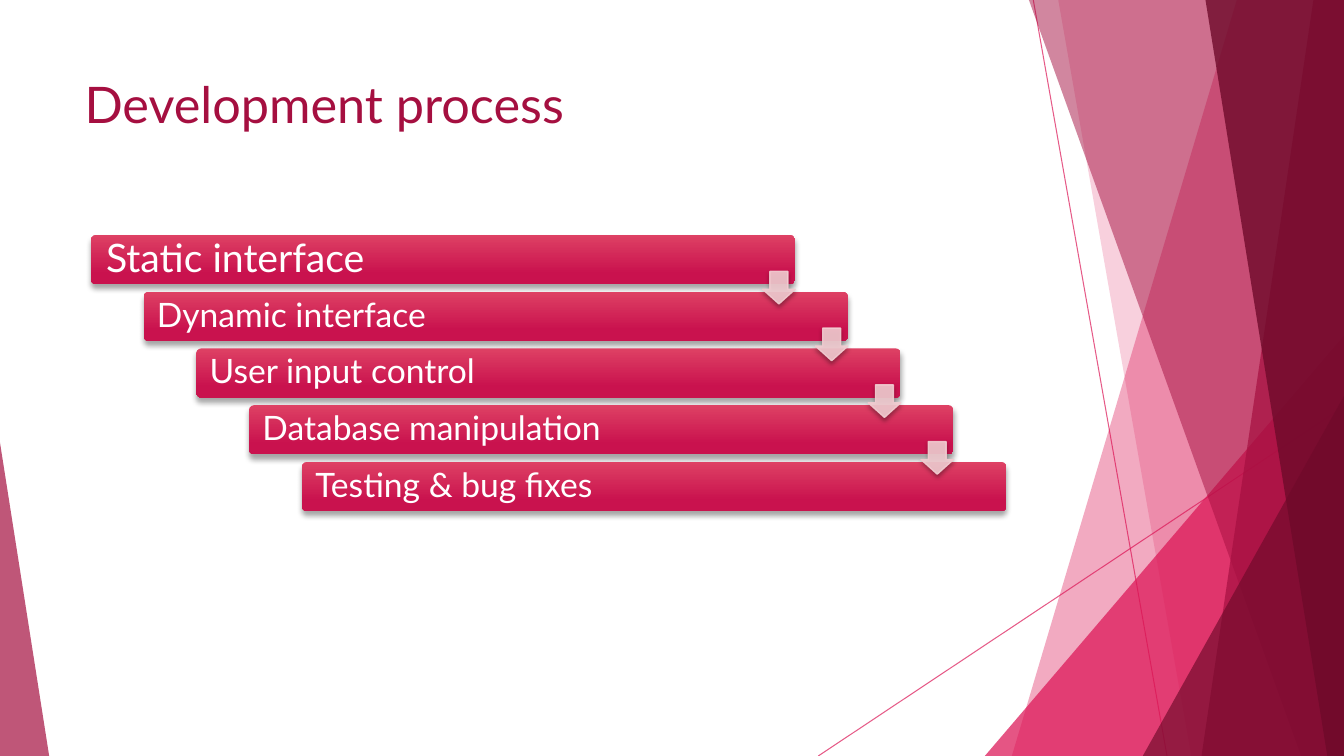
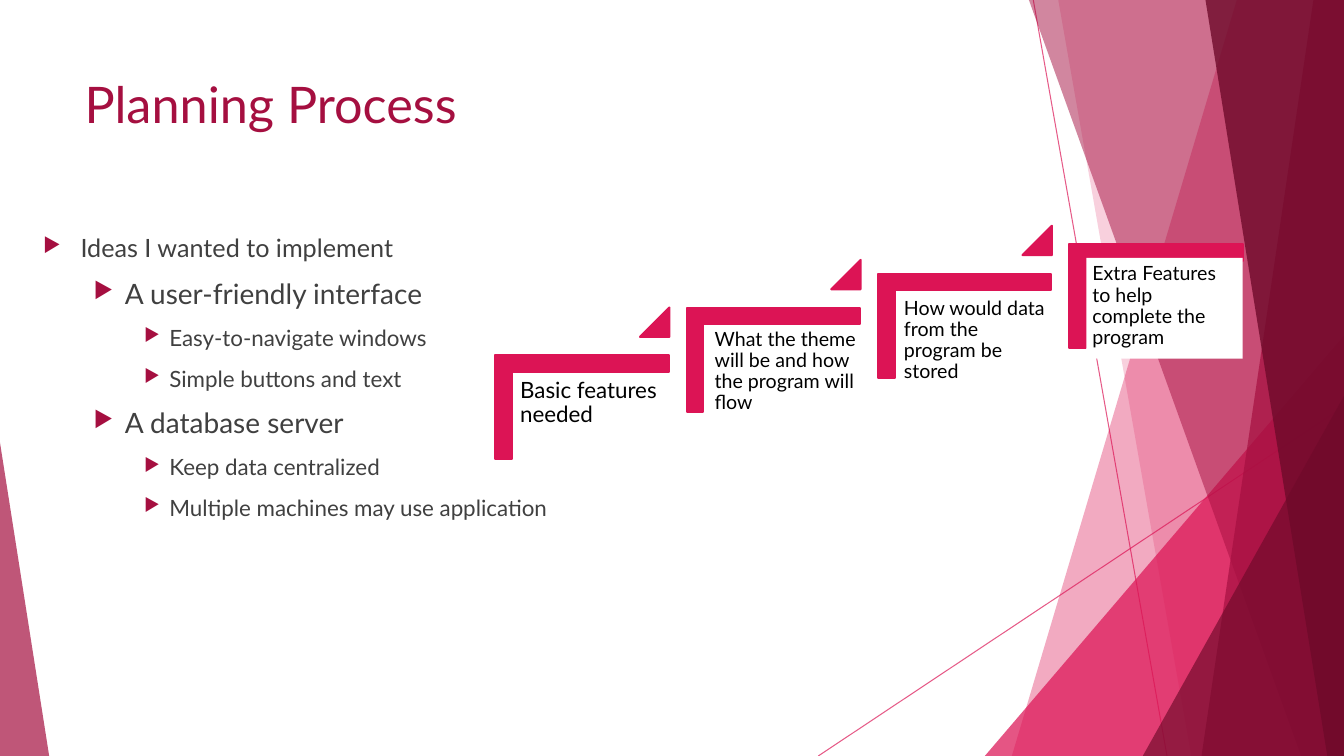
"""Build two slides on how an application was planned and developed."""
from dataclasses import dataclass

from lxml import etree
from pptx import Presentation
from pptx.dml.color import RGBColor
from pptx.enum.shapes import MSO_CONNECTOR, MSO_SHAPE
from pptx.enum.text import MSO_ANCHOR, MSO_AUTO_SIZE, PP_ALIGN
from pptx.oxml.ns import qn
from pptx.util import Cm, Pt

STRAIGHT = MSO_CONNECTOR.STRAIGHT
ROUNDED = MSO_SHAPE.ROUNDED_RECTANGLE
DOWN_ARROW = MSO_SHAPE.DOWN_ARROW
TRIANGLE = MSO_SHAPE.ISOSCELES_TRIANGLE
CORNER = MSO_SHAPE.CORNER
TOP, MIDDLE = MSO_ANCHOR.TOP, MSO_ANCHOR.MIDDLE
LEFT = PP_ALIGN.LEFT
NO_AUTOFIT = MSO_AUTO_SIZE.NONE
TITLE_ONLY = 5


@dataclass(frozen=True)
class Theme:
    """Colours, font and type sizes of the deck."""

    pink: str = "DC1455"
    crimson: str = "A50F40"
    wine: str = "6E0A2A"
    blush: str = "F2CCD1"
    bar_light: str = "DE4164"
    bar_dark: str = "C9124E"
    white: str = "FFFFFF"
    black: str = "000000"
    grey: str = "404040"
    font: str = "Lato"
    title: int = 36
    lead_bar: int = 28
    bar: int = 24
    lead_step: int = 16
    step: int = 14
    bullets: tuple = (18, 20, 16)


@dataclass(frozen=True)
class Step:
    """One tread of the staircase, with its text area in centimetres."""

    text: str
    size: int
    top: float
    area: tuple
    inset: float = 0.15
    fill: str = ""


THEME = Theme()
WIDTH, HEIGHT = 33.87, 19.05

BACK_LINES = [((26.04, 0), (29.41, HEIGHT)), ((WIDTH, 10.24), (20.62, HEIGHT))]
LOWER_BANDS = [(31.17, 25.5, THEME.pink, 36), (26.67, 30.02, THEME.pink, 20)]
UPPER_BANDS = [
    (25.93, 32.79, THEME.crimson, 50),
    (33.1, 30.28, THEME.crimson, 70),
    (30.38, 33.45, THEME.wine, 80),
]

PHASES = [
    "Static interface",
    "Dynamic interface",
    "User input control",
    "Database manipulation",
    "Testing & bug fixes",
]

IDEAS = [
    (0, "Ideas I wanted to implement"),
    (1, "A user-friendly interface"),
    (2, "Easy-to-navigate windows"),
    (2, "Simple buttons and text"),
    (1, "A database server"),
    (2, "Keep data centralized"),
    (2, "Multiple machines may use application"),
]
IDEA_INDENTS = [(0.94, 0.94), (2.06, 0.79), (3.18, 0.64)]

STEPS = [
    Step("Basic features needed", THEME.lead_step, 8.08,
         (12.93, 9.37, 3.94, 3.45), inset=0.18),
    Step("What the theme will be and how the program will flow", THEME.step,
         6.88, (17.86, 8.15, 4.37, 3.45)),
    Step("How would data from the program be stored", THEME.step, 6.02,
         (22.63, 7.37, 3.94, 2.79)),
    Step("Extra Features to help complete the program", THEME.step, 5.28,
         (27.38, 6.5, 3.94, 2.54), fill=THEME.white),
]


def rgb(value):
    """Turn a hex string into a colour."""
    return RGBColor.from_string(value)


def add_node(parent, tag, **attributes):
    """Append a drawing element with the given attributes."""
    values = {name: str(value) for name, value in attributes.items()}
    return etree.SubElement(parent, qn(tag), values)


def write(frame, text, *, size, color, level=0, align=LEFT, spacing=None,
          before=None):
    """Add one formatted paragraph to a text frame and return it."""
    para = frame.paragraphs[0]
    if para.runs:
        para = frame.add_paragraph()
    para.level, para.alignment = level, align
    if spacing is not None:
        para.line_spacing = spacing
    if before is not None:
        para.space_before = Pt(before)
    span = para.add_run()
    span.text = text
    span.font.name = THEME.font
    span.font.size = Pt(size)
    span.font.color.rgb = rgb(color)
    return para


def set_bullet(para, level):
    """Give a paragraph its hanging arrow bullet."""
    margin, hang = IDEA_INDENTS[level]
    props = para._p.get_or_add_pPr()
    props.set("marL", str(Cm(margin)))
    props.set("indent", str(-Cm(hang)))
    add_node(add_node(props, "a:buClr"), "a:srgbClr", val=THEME.crimson)
    add_node(props, "a:buSzPct", val=80000)
    add_node(props, "a:buChar", char="▶")


def set_frame(frame, anchor, sides, ends):
    """Wrap a text frame and set its anchor and insets."""
    frame.word_wrap = True
    frame.auto_size = NO_AUTOFIT
    frame.vertical_anchor = anchor
    frame.margin_left = frame.margin_right = Cm(sides)
    frame.margin_top = frame.margin_bottom = Cm(ends)


def set_opacity(shape, percent):
    """Make every colour of a shape partly transparent."""
    for color in list(shape.element.spPr.iter(qn("a:srgbClr"))):
        add_node(color, "a:alpha", val=percent * 1000)


def set_shadow(shape, blur, distance):
    """Cast a soft shadow straight down."""
    effects = shape.element.spPr.find(qn("a:effectLst"))
    shadow = add_node(effects, "a:outerShdw", blurRad=Pt(blur),
                      dist=Pt(distance), dir=5400000, rotWithShape=0)
    color = add_node(shadow, "a:srgbClr", val=THEME.black)
    add_node(color, "a:alpha", val=35000)


def paint(shape, fill, line_width=0):
    """Fill a shape flat, with an outline of the same colour if wanted."""
    shape.shadow.inherit = False
    shape.fill.solid()
    shape.fill.fore_color.rgb = rgb(fill)
    if line_width:
        shape.line.color.rgb = rgb(fill)
        shape.line.width = Pt(line_width)
    else:
        shape.line.fill.background()


def add_preset(page, kind, area, fill, *, adjust=(), line_width=0):
    """Add a flat preset shape; area is left, top, width, height."""
    shape = page.shapes.add_shape(kind, *map(Cm, area))
    for index, value in enumerate(adjust):
        shape.adjustments[index] = value
    paint(shape, fill, line_width)
    return shape


def add_back_line(page, start, end):
    """Add a thin translucent line."""
    line = page.shapes.add_connector(STRAIGHT, *map(Cm, start + end))
    line.line.color.rgb = rgb(THEME.pink)
    line.line.width = Pt(0.75)
    set_opacity(line, 70)
    add_node(line.element.spPr, "a:effectLst")
    return line


def add_back_band(page, top_x, bottom_x, color, opacity):
    """Add a slanted band that reaches the right edge."""
    builder = page.shapes.build_freeform(Cm(top_x), Cm(0))
    corners = [(WIDTH, 0), (WIDTH, HEIGHT), (bottom_x, HEIGHT)]
    builder.add_line_segments([(Cm(x), Cm(y)) for x, y in corners])
    band = builder.convert_to_shape()
    paint(band, color)
    set_opacity(band, opacity)
    return band


def add_back_triangle(page, left, top, width, color, opacity, apex):
    """Add a translucent triangle standing on the bottom edge."""
    area = (left, top, width, HEIGHT - top)
    triangle = add_preset(page, TRIANGLE, area, color, adjust=[apex])
    set_opacity(triangle, opacity)
    return triangle


def add_backdrop(page):
    """Draw the backdrop and hand it to the layout that all slides share."""
    parts = [add_back_line(page, *ends) for ends in BACK_LINES]
    parts += [add_back_band(page, *band) for band in LOWER_BANDS]
    parts.append(add_back_triangle(page, 24.82, 8.46, 9.05, THEME.pink, 72, 1))
    parts += [add_back_band(page, *band) for band in UPPER_BANDS]
    parts.append(add_back_triangle(page, 28.8, 9.98, 5.07, THEME.wine, 66, 1))
    parts.append(add_back_triangle(page, 0, 11.15, 1.24, THEME.crimson, 70, 0))
    layout = page.slide_layout
    for holder in list(layout.placeholders)[1:]:
        layout.shapes.element.remove(holder.element)
    for part in parts:
        layout.shapes.element.append(part.element)


def add_page(deck, title):
    """Add a slide with a formatted title."""
    page = deck.slides.add_slide(deck.slide_layouts[TITLE_ONLY])
    box = page.shapes.title
    box.left, box.top, box.width, box.height = map(Cm, (1.88, 1.7, 23.88, 3.66))
    set_frame(box.text_frame, TOP, 0.25, 0.13)
    write(box.text_frame, title, size=THEME.title, color=THEME.crimson)
    return page


def add_bar(page, area, text, size):
    """Add a gradient bar with its phase name."""
    bar = add_preset(page, ROUNDED, area, THEME.bar_dark, adjust=[0.1])
    bar.fill.gradient()
    bar.fill.gradient_angle = 270
    stops = [(0, THEME.bar_light), (0.78, THEME.bar_dark)]
    for stop, (position, color) in zip(bar.fill.gradient_stops, stops):
        stop.position = position
        stop.color.rgb = rgb(color)
    set_shadow(bar, 4, 3)
    set_frame(bar.text_frame, MIDDLE, size / 80, 0)
    write(bar.text_frame, text, size=size, color=THEME.white, spacing=0.9)


def add_phases(page):
    """Add the cascade of bars and the arrows between them."""
    width, height, arrow_size = 17.75, 1.24, 0.82
    places = [(2.29 + 1.33 * i, 5.92 + 1.43 * i) for i in range(len(PHASES))]
    for index, (text, (left, top)) in enumerate(zip(PHASES, places)):
        size = THEME.bar if index else THEME.lead_bar
        add_bar(page, (left, top, width, height), text, size)
    for left, top in places[:-1]:
        area = (left + width - arrow_size, top + 0.92, arrow_size, arrow_size)
        arrow = add_preset(page, DOWN_ARROW, area, THEME.blush,
                           adjust=[0.55, 0.45], line_width=1)
        set_opacity(arrow, 90)
        set_shadow(arrow, 3, 2)


def add_ideas(page):
    """Add the bulleted list of ideas."""
    box = page.shapes.add_textbox(*map(Cm, (0.84, 5.72, 28.58, 11.63)))
    set_frame(box.text_frame, TOP, 0.25, 0.13)
    for level, text in IDEAS:
        para = write(box.text_frame, text, size=THEME.bullets[level],
                     color=THEME.grey, level=level, before=10)
        set_bullet(para, level)


def add_steps(page):
    """Add the rising staircase of planning steps."""
    for index, step in enumerate(STEPS):
        left = 13.36 + 4.82 * index
        corner = add_preset(page, CORNER, (left, step.top, 2.62, 4.37),
                            THEME.pink, adjust=[0.161, 0.161], line_width=1.5)
        corner.rotation = 90
        box = page.shapes.add_textbox(*map(Cm, step.area))
        if step.fill:
            paint(box, step.fill)
        set_frame(box.text_frame, TOP, step.inset, step.inset)
        write(box.text_frame, step.text, size=step.size, color=THEME.black,
              spacing=0.9)
        if index < len(STEPS) - 1:
            area = (left + 2.77, step.top - 0.33, 0.74, 0.74)
            add_preset(page, TRIANGLE, area, THEME.pink, adjust=[1],
                       line_width=1.5)


def main():
    """Build and save the deck."""
    deck = Presentation()
    deck.slide_width, deck.slide_height = Cm(WIDTH), Cm(HEIGHT)
    development = add_page(deck, "Development process")
    add_backdrop(development)
    add_phases(development)
    planning = add_page(deck, "Planning Process")
    add_ideas(planning)
    add_steps(planning)
    deck.save("out.pptx")


if __name__ == "__main__":
    main()
